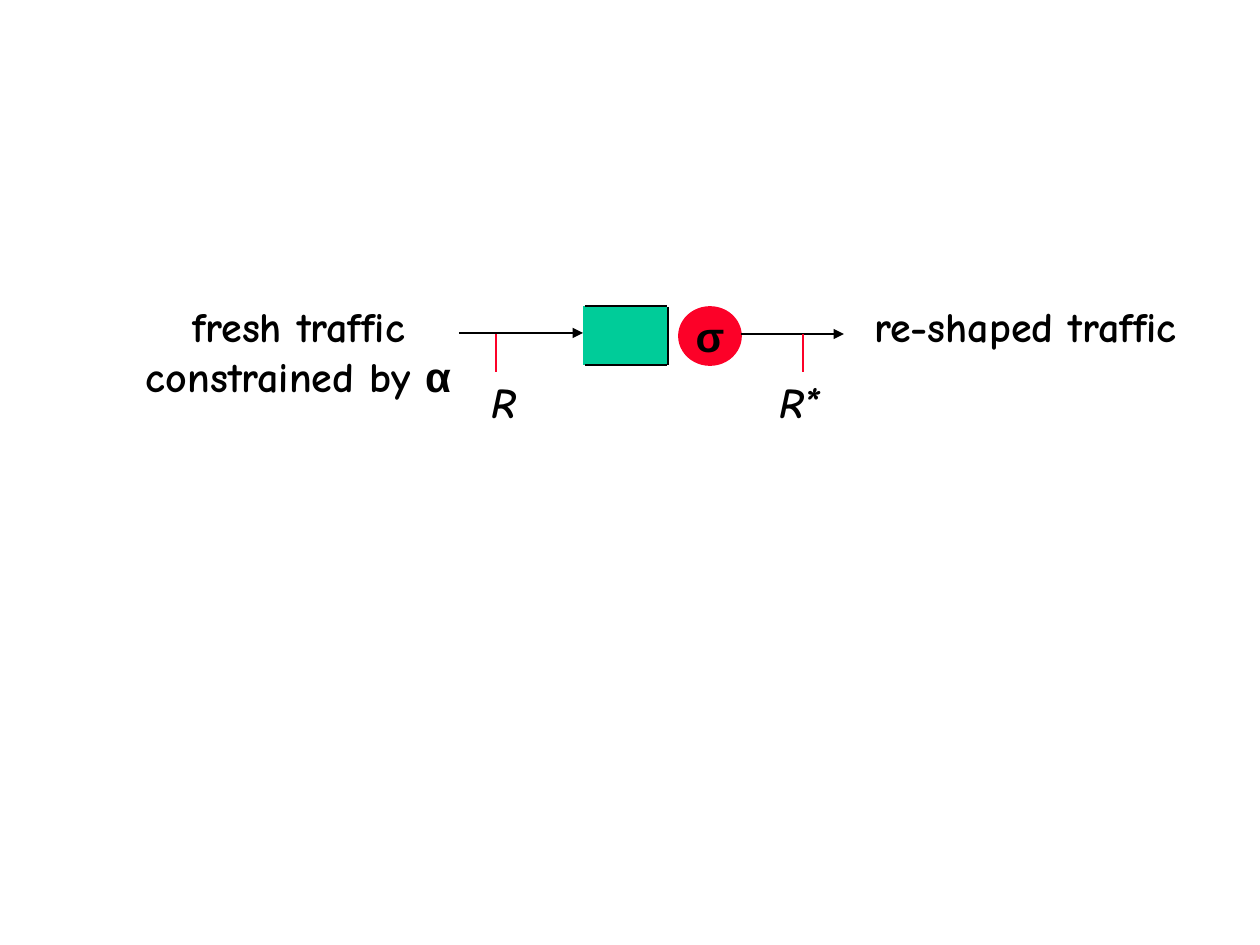
from pptx import Presentation
from pptx.dml.color import RGBColor
from pptx.enum.shapes import MSO_CONNECTOR as CONN, MSO_SHAPE as SHAPE
from pptx.enum.text import MSO_ANCHOR as ANCHOR, MSO_AUTO_SIZE as AUTO, PP_ALIGN as ALIGN
from pptx.oxml.ns import qn
from pptx.util import Pt
from lxml.etree import SubElement

PX = 914400 / 126
BLACK = RGBColor(0x00, 0x00, 0x00)
RED = RGBColor(0xFC, 0x01, 0x28)
GREEN = RGBColor(0x00, 0xCC, 0x99)
LATIN, GREEK = "Comic Neue", "Arial"

# Shaper parts: left, top, width, height
BUFFER = (583, 306, 84, 59)
SHAPER = (679, 307, 62, 58)

# Lines: from x, from y, to x, to y, colour, arrow
LINES = [
    (585, 306, 667, 306, BLACK, False),
    (585, 365, 667, 365, BLACK, False),
    (668, 307, 668, 365, BLACK, False),
    (741, 334, 844, 334, BLACK, True),
    (496, 334, 496, 372, RED, False),
    (803, 334, 803, 372, RED, False),
    (459, 333, 583, 333, BLACK, True),
]

# Labels: box, paragraphs of (text, font) runs, alignment, italic
LABELS = [
    ((132, 294, 333, 113),
     [[("fresh traffic", LATIN)], [("constrained by ", LATIN), ("α", GREEK)]],
     ALIGN.CENTER, False),
    ((479, 370, 49, 63), [[("R", LATIN)]], ALIGN.RIGHT, True),
    ((766, 370, 66, 63), [[("R*", LATIN)]], ALIGN.RIGHT, True),
    ((861, 294, 329, 63), [[("re-shaped traffic", LATIN)]], ALIGN.CENTER, False),
]


def emu(*lengths):
    return [round(n * PX) for n in lengths]


def write(tf, paragraphs, align, italic=False):
    tf.word_wrap = False
    for i, runs in enumerate(paragraphs):
        p = tf.add_paragraph() if i else tf.paragraphs[0]
        p.alignment = align
        for text, font in runs:
            r = p.add_run()
            r.text = text
            r.font.name = font
            r.font.size = Pt(24)
            r.font.bold = True
            r.font.italic = italic
            r.font.color.rgb = BLACK


def add_solid(shapes, kind, box, colour):
    s = shapes.add_shape(kind, *emu(*box))
    s.shadow.inherit = False
    s.fill.solid()
    s.fill.fore_color.rgb = colour
    s.line.fill.background()
    return s


def add_line(shapes, x1, y1, x2, y2, colour, arrow):
    s = shapes.add_connector(CONN.STRAIGHT, *emu(x1, y1, x2, y2))
    s.line.color.rgb = colour
    s.line.width = Pt(1)
    if arrow:
        SubElement(s.line._get_or_add_ln(), qn("a:tailEnd"), type="triangle")
    SubElement(s._element.spPr, qn("a:effectLst"))


def main():
    prs = Presentation()
    prs.slide_width, prs.slide_height = emu(1260, 945)
    shapes = prs.slides.add_slide(prs.slide_layouts[6]).shapes

    shaper = add_solid(shapes, SHAPE.OVAL, SHAPER, RED)
    shaper.line.color.rgb = RED
    shaper.line.width = Pt(1)
    shaper.text_frame.vertical_anchor = ANCHOR.MIDDLE
    write(shaper.text_frame, [[("σ", GREEK)]], ALIGN.CENTER)
    add_solid(shapes, SHAPE.RECTANGLE, BUFFER, GREEN)

    for line in LINES:
        add_line(shapes, *line)
    for box, paragraphs, align, italic in LABELS:
        tf = shapes.add_textbox(*emu(*box)).text_frame
        tf.auto_size = AUTO.SHAPE_TO_FIT_TEXT
        write(tf, paragraphs, align, italic)

    prs.save("out.pptx")


if __name__ == "__main__":
    main()
